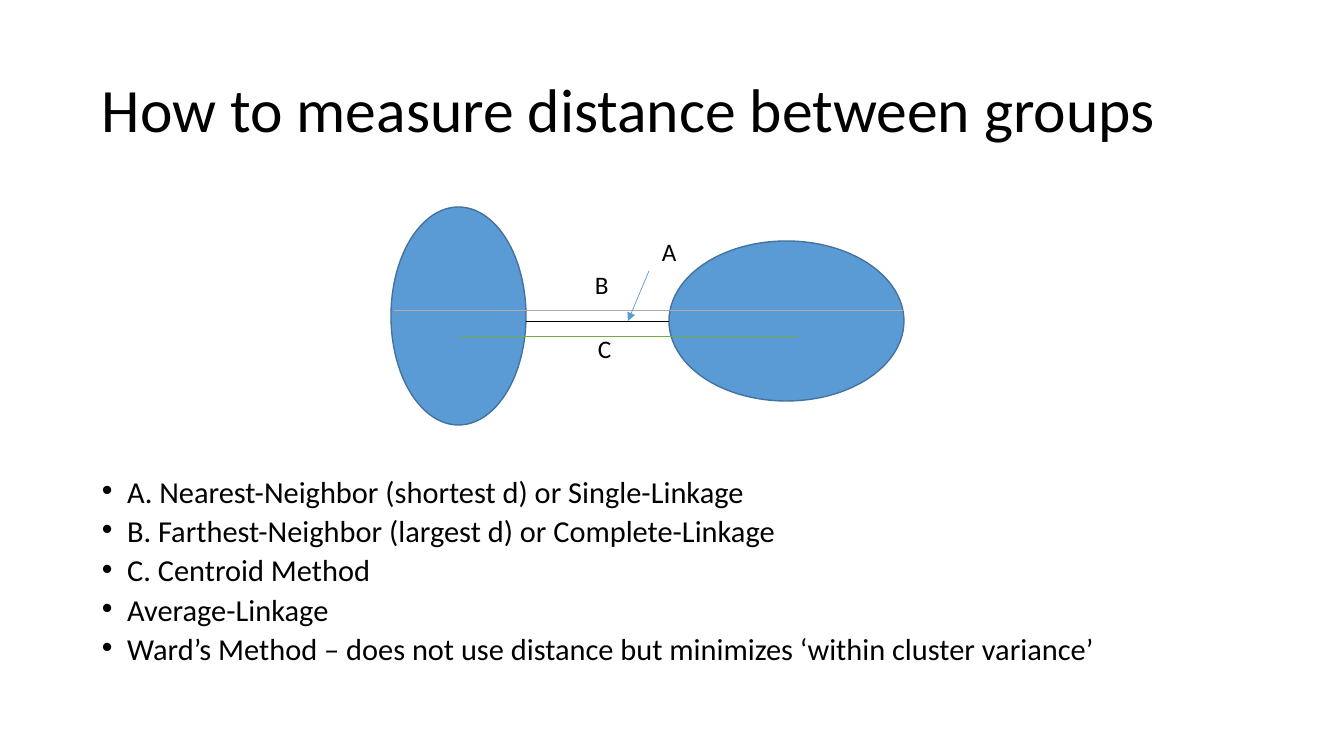
from pptx import Presentation, util as u
from pptx.dml.color import RGBColor
from pptx.enum import shapes, text
from pptx.oxml import ns
from lxml import etree

PX = 914400 / 100.8
BLACK = RGBColor(0x00, 0x00, 0x00)
BLUE = RGBColor(0x5B, 0x9B, 0xD5)
DARK_BLUE = RGBColor(0x43, 0x73, 0x9E)
GRAY = RGBColor(0xAF, 0xAB, 0xAB)
GREEN = RGBColor(0x70, 0xAD, 0x47)


def px(*lengths):
    return [u.Emu(round(n * PX)) for n in lengths]


def add_text(s, box, lines, size, frame={}, para={}):
    tf = s.shapes.add_textbox(*px(*box)).text_frame
    for name, value in frame.items():
        setattr(tf, name, value)
    for i, line in enumerate(lines):
        p = tf.paragraphs[0] if i == 0 else tf.add_paragraph()
        for name, value in para.items():
            setattr(p, name, value)
        r = p.add_run()
        r.text = line
        r.font.name = "Calibri"
        r.font.size = u.Pt(size)
        r.font.color.rgb = BLACK
    return tf


prs = Presentation()
prs.slide_width, prs.slide_height = px(1344, 756)
s = prs.slides.add_slide(prs.slide_layouts[6])

add_text(s, (92, 40, 1160, 146), ["How to measure distance between groups"], 44,
         {"word_wrap": True, "vertical_anchor": text.MSO_ANCHOR.MIDDLE},
         {"line_spacing": 0.9})

methods = [
    "A. Nearest-Neighbor (shortest d) or Single-Linkage",
    "B. Farthest-Neighbor (largest d) or Complete-Linkage",
    "C. Centroid Method",
    "Average-Linkage",
    "Ward’s Method – does not use distance but minimizes ‘within cluster variance’",
]
tf = add_text(s, (92, 478, 1160, 210), methods, 21.7, {"word_wrap": True},
              {"line_spacing": 0.7, "space_before": u.Pt(9.8)})
for p in tf.paragraphs:
    pPr = p._p.get_or_add_pPr()
    pPr.set("marL", str(u.Inches(0.25)))
    pPr.set("indent", str(-u.Inches(0.25)))
    etree.SubElement(pPr, ns.qn("a:buFont")).set("typeface", "Arial")
    etree.SubElement(pPr, ns.qn("a:buChar")).set("char", "•")

for box in [(391, 207, 135, 218), (669, 241, 235, 160)]:
    group = s.shapes.add_shape(shapes.MSO_SHAPE.OVAL, *px(*box))
    group.shadow.inherit = False
    group.fill.solid()
    group.fill.fore_color.rgb = BLUE
    group.line.color.rgb = DARK_BLUE
    group.line.width = u.Pt(1)

distances = [
    ((526, 321, 669, 321), BLACK),
    ((394, 310, 904, 310), GRAY),
    ((459, 336, 798, 336), GREEN),
    ((649, 271, 628, 321), BLUE),
]
for ends, color in distances:
    line = s.shapes.add_connector(shapes.MSO_CONNECTOR.STRAIGHT, *px(*ends))
    line.line.color.rgb = color
    line.line.width = u.Pt(0.5)
    etree.SubElement(line._element.spPr, ns.qn("a:effectLst"))
etree.SubElement(line.line._get_or_add_ln(), ns.qn("a:tailEnd")).set("type", "triangle")

for label, x, y in [("C", 588, 328), ("B", 585, 264), ("A", 652, 231)]:
    add_text(s, (x, y, 34, 40), [label], 18,
             {"word_wrap": False, "auto_size": text.MSO_AUTO_SIZE.SHAPE_TO_FIT_TEXT})

prs.save("out.pptx")
